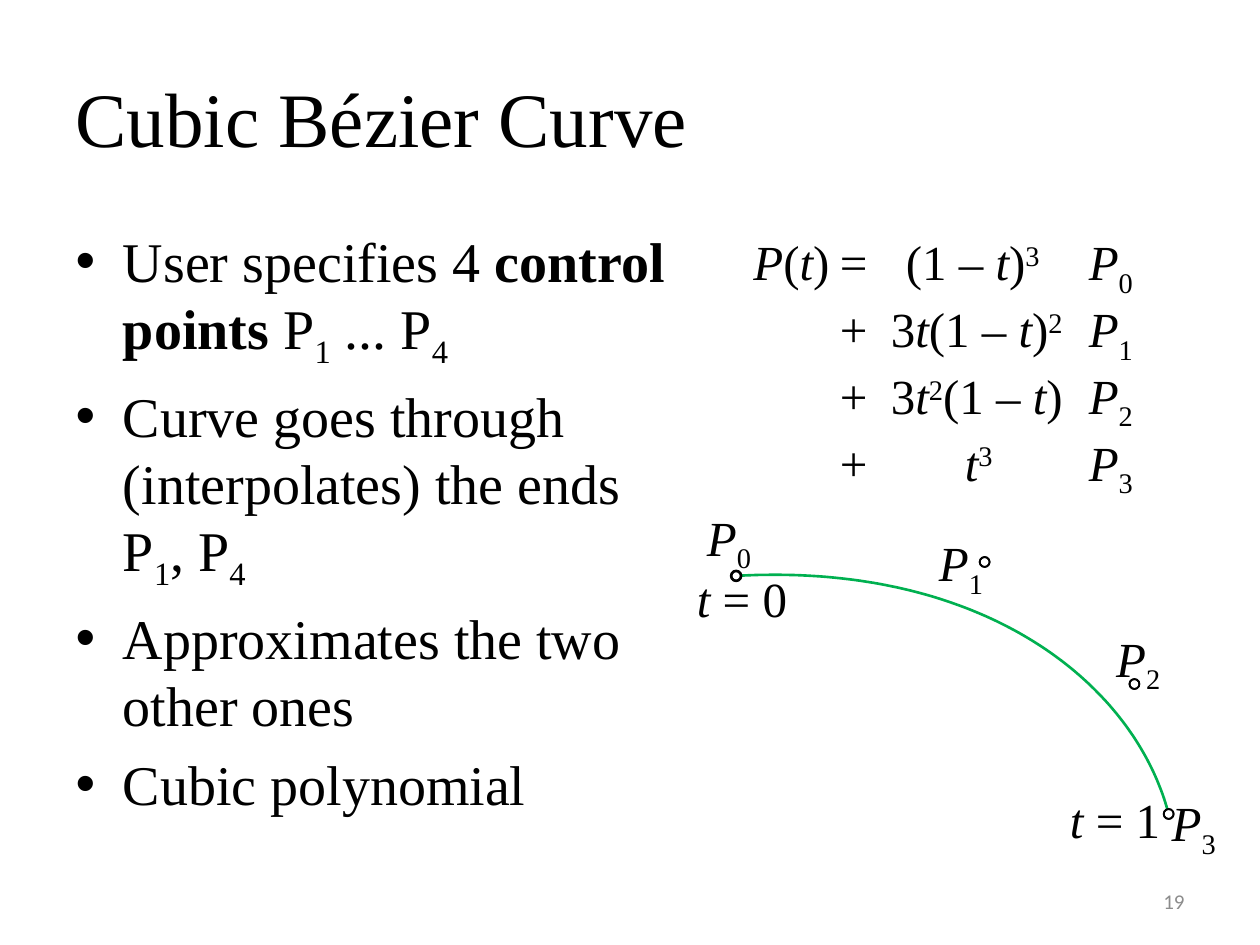
from lxml import etree
from pptx import Presentation
from pptx.dml.color import RGBColor
from pptx.enum import shapes, text
from pptx.oxml import ns
from pptx.util import Cm, Pt

BLACK = RGBColor(0, 0, 0)
WHITE = RGBColor(255, 255, 255)
GREEN = RGBColor(0x00, 0xB0, 0x50)
GREY = RGBColor(0x8C, 0x8C, 0x8C)
SERIF = "Times New Roman"

# Run styles: font attributes, and the baseline shift in thousandths of a percent
PLAIN, ITALIC, BOLD, SUB, SUP = "plain", "italic", "bold", "sub", "sup"
FONT_STYLES = {ITALIC: {"italic": True}, BOLD: {"bold": True}}
BASELINES = {SUB: "-25000", SUP: "30000"}


def set_attributes(target, values):
    for name, value in values.items():
        setattr(target, name, value)


def write_runs(paragraph, runs, size, face=SERIF, color=BLACK):
    """Fill a paragraph with (words, style) runs."""
    for words, style in runs:
        run = paragraph.add_run()
        run.text = words
        set_attributes(run.font, {"name": face, "size": Pt(size),
                                  **FONT_STYLES.get(style, {})})
        run.font.color.rgb = color
        if style in BASELINES:
            run.font._element.set("baseline", BASELINES[style])


def place(shape, box):
    names = ("left", "top", "width", "height")
    set_attributes(shape, dict(zip(names, map(Cm, box))))


def add_label(slide, box, runs, size=28):
    label = slide.shapes.add_textbox(*map(Cm, box))
    label.text_frame.word_wrap = False
    write_runs(label.text_frame.paragraphs[0], runs, size)


def point_name(index):
    return [("P", ITALIC), (str(index), SUB)]


def fill_title(slide, box):
    title = slide.shapes.title
    place(title, box)
    title.text_frame.vertical_anchor = text.MSO_ANCHOR.MIDDLE
    heading = title.text_frame.paragraphs[0]
    heading.alignment = text.PP_ALIGN.LEFT
    write_runs(heading, [("Cubic Bézier Curve", PLAIN)], 44)


def fill_properties(slide, box):
    properties = [
        [("User specifies 4 ", PLAIN), ("control points", BOLD), (" P", PLAIN),
         ("1", SUB), (" ... P", PLAIN), ("4", SUB)],
        [("Curve goes through (interpolates) the ends P", PLAIN), ("1", SUB),
         (", P", PLAIN), ("4", SUB)],
        [("Approximates the two other ones", PLAIN)],
        [("Cubic polynomial", PLAIN)],
    ]
    body = slide.placeholders[1]
    place(body, box)
    frame = body.text_frame
    frame.auto_size = text.MSO_AUTO_SIZE.NONE
    for index, runs in enumerate(properties):
        paragraph = frame.paragraphs[0] if index == 0 else frame.add_paragraph()
        if index == 0:
            paragraph.space_before = Pt(0)
        write_runs(paragraph, runs, 32)


def add_tab_stops(paragraph, stops):
    tab_list = etree.SubElement(paragraph._p.get_or_add_pPr(), ns.qn("a:tabLst"))
    for position, alignment in stops:
        etree.SubElement(tab_list, ns.qn("a:tab"), pos=str(Cm(position)), algn=alignment)


def add_formula(slide, box):
    """Bernstein terms in columns: sign, weight, control point."""
    one_minus_t = [("(1 – ", PLAIN), ("t", ITALIC), (")", PLAIN)]
    # Centre of each weight's column, and its runs
    weights = [
        (4.42, one_minus_t + [("3", SUP)]),
        (4.5, [("3", PLAIN), ("t", ITALIC)] + one_minus_t + [("2", SUP)]),
        (4.5, [("3", PLAIN), ("t", ITALIC), ("2", SUP)] + one_minus_t),
        (4.54, [("t", ITALIC), ("3", SUP)]),
    ]
    left_side = [("P", ITALIC), ("(", PLAIN), ("t", ITALIC), (")", PLAIN)]
    tab = [("\t", PLAIN)]
    frame = slide.shapes.add_textbox(*map(Cm, box)).text_frame
    frame.word_wrap = True
    for index, (center, weight) in enumerate(weights):
        paragraph = frame.paragraphs[0] if index == 0 else frame.add_paragraph()
        add_tab_stops(paragraph, [(1.74, "l"), (center, "ctr"), (6.76, "l")])
        start = left_side if index == 0 else []
        sign = [("=" if index == 0 else "+", PLAIN)]
        write_runs(paragraph, start + tab + sign + tab + weight + tab
                   + point_name(index), 28)


def bezier_point(controls, t):
    weights = ((1 - t) ** 3, 3 * t * (1 - t) ** 2, 3 * t ** 2 * (1 - t), t ** 3)
    return tuple(Cm(sum(w * c for w, c in zip(weights, axis)))
                 for axis in zip(*controls))


def add_marker(drawing, x, y, size, filled, line_width):
    marker = drawing.shapes.add_shape(
        shapes.MSO_SHAPE.OVAL, *map(Cm, (x - size / 2, y - size / 2, size, size)))
    marker.shadow.inherit = False
    if filled:
        marker.fill.solid()
        marker.fill.fore_color.rgb = WHITE
    else:
        marker.fill.background()
    marker.line.color.rgb = BLACK
    marker.line.width = Pt(line_width)


def add_curve(slide, left, top, steps=100, dot=0.2):
    offsets = [(1.04, 1.53), (6.05, 1.25), (9.07, 3.71), (9.76, 6.33)]
    controls = [(left + x, top + y) for x, y in offsets]
    drawing = slide.shapes.add_group_shape()

    # Curve sampled from its control points
    samples = [bezier_point(controls, step / steps) for step in range(steps + 1)]
    builder = drawing.shapes.build_freeform(*samples[0])
    builder.add_line_segments(samples[1:], close=False)
    curve = builder.convert_to_shape()
    curve.shadow.inherit = False
    curve.fill.background()
    curve.line.color.rgb = GREEN
    curve.line.width = Pt(1.5)

    # Control points: a white disc under a ring
    for index, (x, y) in enumerate(controls):
        add_marker(drawing, x, y, dot, True, 1.5 if index == 0 else 1)
        add_marker(drawing, x, y, dot, False, 1)

    # Point names and parameter values at the ends
    name_offsets = [(0.2, 0.02), (4.88, 0.54), (8.45, 2.47), (9.57, 5.78)]
    for index, (x, y) in enumerate(name_offsets):
        add_label(slide, (left + x, top + y, 1.45, 1.45), point_name(index))
    for value, x, y in ((0, 0, 1.25), (1, 7.52, 5.72)):
        add_label(slide, (left + x, top + y, 2.34, 1.45),
                  [("t", ITALIC), (f" = {value}", PLAIN)])


def add_page_number(slide, box):
    frame = slide.shapes.add_textbox(*map(Cm, box)).text_frame
    set_attributes(frame, {"word_wrap": True,
                           "vertical_anchor": text.MSO_ANCHOR.MIDDLE})
    number = frame.paragraphs[0]
    number.alignment = text.PP_ALIGN.RIGHT
    write_runs(number, [("19", PLAIN)], 12, "Calibri", GREY)


def main():
    deck = Presentation()
    set_attributes(deck, {"slide_width": Cm(25.4), "slide_height": Cm(19.05)})
    slide = deck.slides.add_slide(deck.slide_layouts[1])
    fill_title(slide, (1.27, 0.76, 22.86, 3.18))
    fill_properties(slide, (1.27, 4.44, 12.42, 12.57))
    add_page_number(slide, (18.2, 17.66, 5.93, 1.01))
    add_curve(slide, 13.8, 10.08)
    add_formula(slide, (14.94, 4.55, 8.8, 5.05))
    deck.save("out.pptx")


if __name__ == "__main__":
    main()
